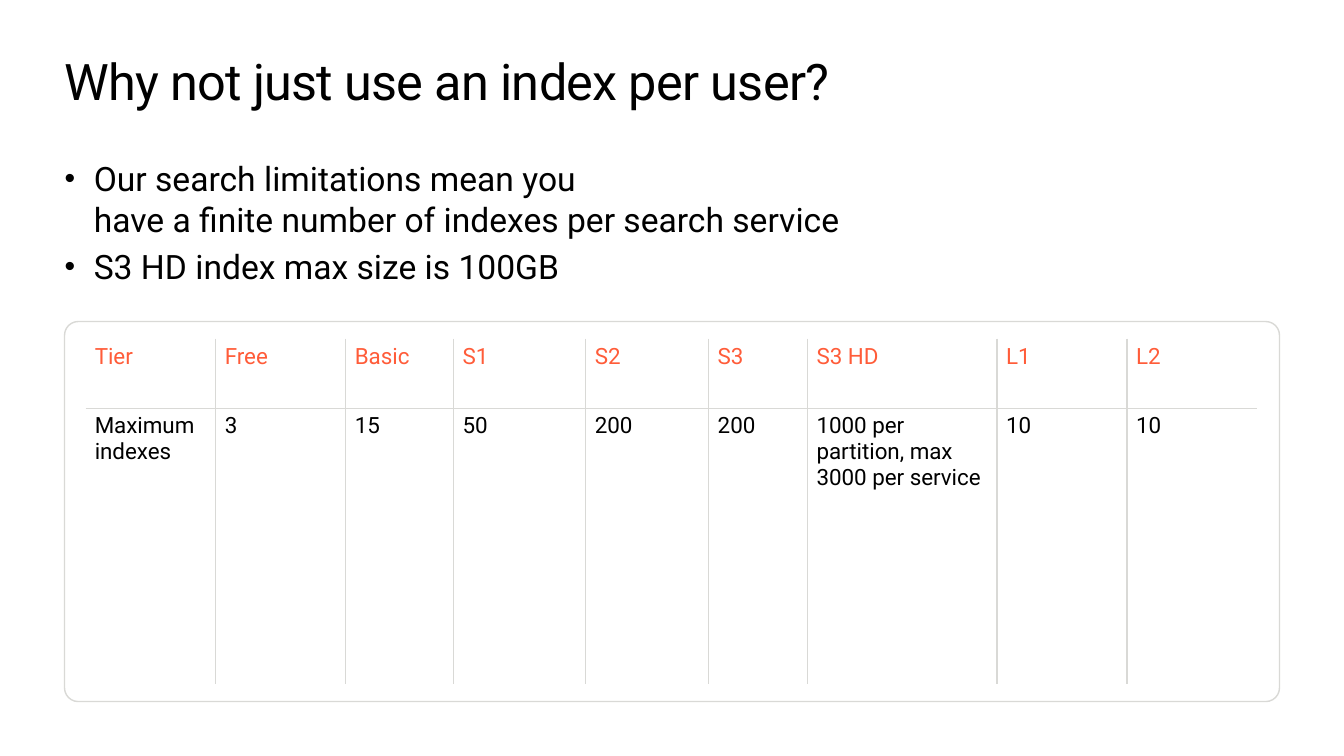
"""Builds a slide on search index limits per service tier."""
from dataclasses import dataclass

from lxml import etree
from pptx import Presentation
from pptx.dml.color import RGBColor
from pptx.enum import shapes, text
from pptx.oxml import ns
from pptx.util import Inches, Pt

TITLE = "Why not just use an index per user?"
BULLETS = [
    "Our search limitations mean you\vhave a finite number of indexes per search service",
    "S3 HD index max size is 100GB",
]
TIERS = [
    ("Tier", "Maximum indexes", 1.29),
    ("Free", "3", 1.29),
    ("Basic", "15", 1.07),
    ("S1", "50", 1.31),
    ("S2", "200", 1.22),
    ("S3", "200", 0.98),
    ("S3 HD", "1000 per partition, max 3000 per service", 1.88),
    ("L1", "10", 1.29),
    ("L2", "10", 1.29),
]
ROW_HEIGHTS = [0.69, 2.74]
LEFT, WIDTH = 0.64, 12.05


@dataclass(frozen=True)
class Theme:
    font: str = "Roboto"
    ink: str = "000000"
    accent: str = "FF5C39"
    rule: str = "D9D9D6"
    title_size: int = 36
    body_size: int = 24
    table_size: int = 16
    rule_width: int = 1


THEME = Theme()


def apply(target, formats):
    for name, value in formats.items():
        setattr(target, name, value)


def style(font, size, color):
    apply(font, {"name": THEME.font, "size": Pt(size), "bold": False})
    font.color.rgb = RGBColor.from_string(color)


def place(shape, top, height):
    apply(shape, {"left": Inches(LEFT), "top": Inches(top),
                  "width": Inches(WIDTH), "height": Inches(height)})
    apply(shape.text_frame, {
        "margin_left": 0, "margin_right": 0, "margin_top": 0, "margin_bottom": 0,
        "word_wrap": True, "vertical_anchor": text.MSO_ANCHOR.TOP})


def add_title(page):
    title = page.shapes.title
    place(title, 0.5, 0.61)
    para = title.text_frame.paragraphs[0]
    para.alignment = text.PP_ALIGN.LEFT
    span = para.add_run()
    span.text = TITLE
    style(span.font, THEME.title_size, THEME.ink)
    span.font._element.set("spc", "-50")


def add_bullets(page):
    box = page.shapes.add_textbox(0, 0, 0, 0)
    place(box, 1.57, 1.29)
    for index, bullet in enumerate(BULLETS):
        frame = box.text_frame
        para = frame.add_paragraph() if index else frame.paragraphs[0]
        para.text = bullet
        if index:
            para.space_before = Pt(THEME.body_size * 0.2)
        properties = para._p.get_or_add_pPr()
        properties.set("marL", str(Inches(0.29)))
        properties.set("indent", str(-Inches(0.29)))
        for tag, key, value in [("a:buSzPct", "val", "90000"),
                                ("a:buFont", "typeface", "Arial"),
                                ("a:buChar", "char", "•")]:
            etree.SubElement(properties, ns.qn(tag)).set(key, value)
        style(para.font, THEME.body_size, THEME.ink)
        for span in para.runs:
            style(span.font, THEME.body_size, THEME.ink)


def set_borders(cell, visible):
    properties = cell._tc.get_or_add_tcPr()
    for index, side in enumerate("LRTB"):
        line = etree.Element(ns.qn(f"a:ln{side}"), w=str(Pt(THEME.rule_width)))
        if side in visible:
            fill = etree.SubElement(line, ns.qn("a:solidFill"))
            etree.SubElement(fill, ns.qn("a:srgbClr"), val=THEME.rule)
        else:
            etree.SubElement(line, ns.qn("a:noFill"))
        properties.insert(index, line)


def add_tiers(page):
    total = sum(width for _, _, width in TIERS)
    table = page.shapes.add_table(
        len(ROW_HEIGHTS), len(TIERS), Inches(0.85), Inches(3.36),
        Inches(total), Inches(sum(ROW_HEIGHTS))).table
    apply(table, {"first_row": False, "horz_banding": False})
    for row, height in zip(table.rows, ROW_HEIGHTS):
        row.height = Inches(height)
    for column, (tier, limit, width) in enumerate(TIERS):
        table.columns[column].width = Inches(width)
        inner = ("L" if column else "") + ("R" if column < len(TIERS) - 1 else "")
        rows = [(tier, THEME.accent, "B"), (limit, THEME.ink, "T")]
        for row, (words, color, edge) in enumerate(rows):
            cell = table.cell(row, column)
            apply(cell, {"margin_left": Inches(0.09), "margin_right": Inches(0.09),
                         "margin_top": Inches(0.05), "margin_bottom": Inches(0.05)})
            cell.text = words
            cell.fill.background()
            set_borders(cell, inner + edge)
            style(cell.text_frame.paragraphs[0].runs[0].font, THEME.table_size, color)


def add_frame(page):
    frame = page.shapes.add_shape(
        shapes.MSO_SHAPE.ROUNDED_RECTANGLE,
        Inches(LEFT), Inches(3.19), Inches(WIDTH), Inches(3.77))
    frame.adjustments[0] = 0.036
    frame.shadow.inherit = False
    frame.fill.background()
    frame.line.color.rgb = RGBColor.from_string(THEME.rule)
    frame.line.width = Pt(THEME.rule_width)


def main():
    deck = Presentation()
    apply(deck, {"slide_width": Inches(13.33), "slide_height": Inches(7.5)})
    page = deck.slides.add_slide(deck.slide_layouts[5])
    for build in (add_title, add_bullets, add_tiers, add_frame):
        build(page)
    deck.save("out.pptx")


if __name__ == "__main__":
    main()
